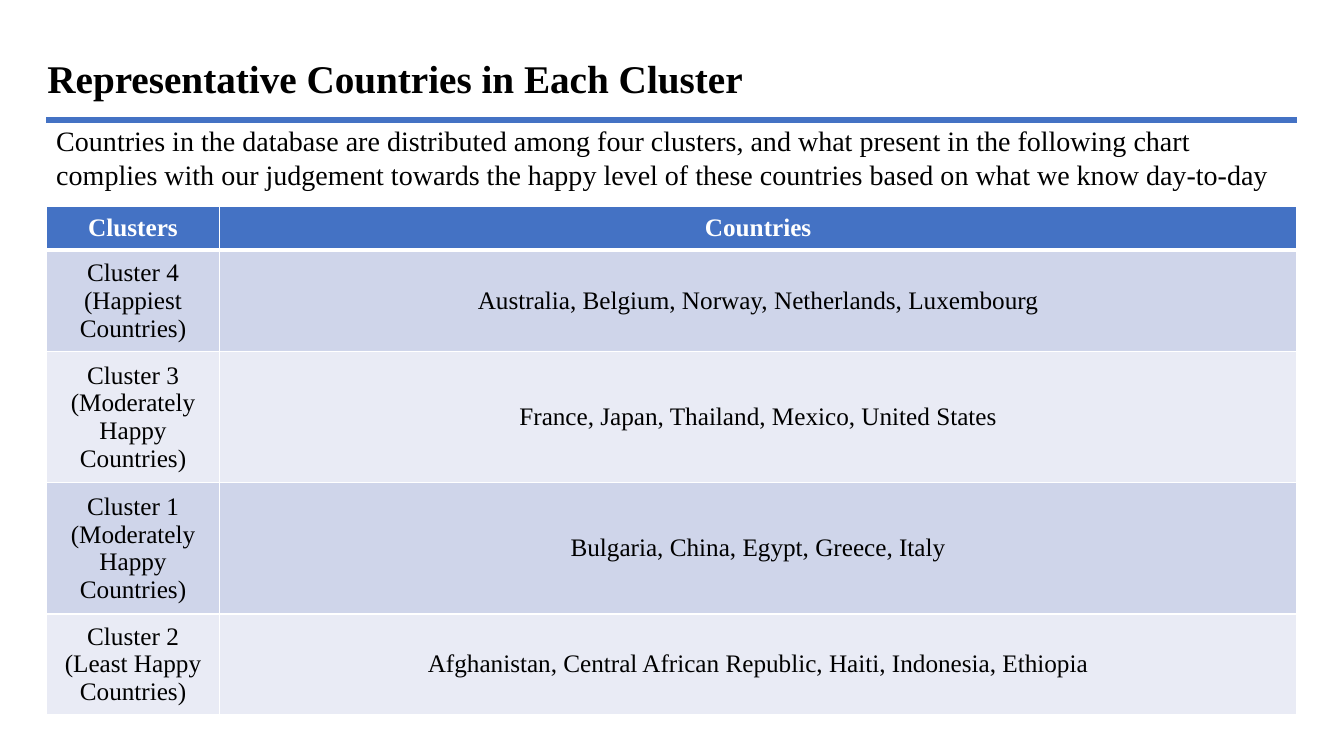
"""Build the slide that lists representative countries for each happiness cluster."""
from dataclasses import dataclass

from lxml import etree
from pptx import Presentation
from pptx.dml.color import RGBColor
from pptx.enum.shapes import MSO_CONNECTOR
from pptx.enum.text import MSO_ANCHOR, MSO_AUTO_SIZE, PP_ALIGN
from pptx.oxml.ns import qn
from pptx.util import Inches, Pt

STRAIGHT = MSO_CONNECTOR.STRAIGHT
TOP, MIDDLE = MSO_ANCHOR.TOP, MSO_ANCHOR.MIDDLE
LEFT, CENTER = PP_ALIGN.LEFT, PP_ALIGN.CENTER
NO_AUTOFIT = MSO_AUTO_SIZE.NONE


@dataclass(frozen=True)
class Theme:
    font: str = "Times New Roman"
    ink: str = "000000"
    paper: str = "FFFFFF"
    accent: str = "4472C4"
    bands: tuple = ("CFD5EA", "E9EBF5")
    title_size: int = 28
    intro_size: int = 20
    table_size: int = 18
    rule_width: float = 3.75
    border: int = 1
    header_border: int = 3


THEME = Theme()

TITLE = "Representative Countries in Each Cluster"
INTRO = (
    "Countries in the database are distributed among four clusters, and what present "
    "in the following chart complies with our judgement towards the happy level of "
    "these countries based on what we know day-to-day"
)
HEADER = ("Clusters", "Countries")
CLUSTERS = [
    ("Cluster 4\n(Happiest Countries)", "Australia, Belgium, Norway, Netherlands, Luxembourg"),
    ("Cluster 3\n(Moderately Happy Countries)", "France, Japan, Thailand, Mexico, United States"),
    ("Cluster 1\n(Moderately Happy Countries)", "Bulgaria, China, Egypt, Greece, Italy"),
    ("Cluster 2\n(Least Happy Countries)",
     "Afghanistan, Central African Republic, Haiti, Indonesia, Ethiopia"),
]

MARGIN, CONTENT_WIDTH = 0.46, 12.4
RULE_Y, TABLE_TOP = 1.19, 2.05
COLUMN_WIDTHS = (1.72, 10.68)
ROW_HEIGHTS = (0.43, 1.01, 1.3, 1.3, 1)


def set_text(frame, text, size, color, bold=False, align=LEFT):
    frame.text = text
    for paragraph in frame.paragraphs:
        paragraph.alignment = align
        for run in paragraph.runs:
            run.font.name = THEME.font
            run.font.size = Pt(size)
            run.font.bold = bold
            run.font.color.rgb = RGBColor.from_string(color)


def set_borders(cell, widths):
    properties = cell._tc.get_or_add_tcPr()
    for side, width in widths.items():
        line = etree.SubElement(properties, qn(f"a:ln{side}"), w=str(Pt(width)))
        fill = etree.SubElement(line, qn("a:solidFill"))
        etree.SubElement(fill, qn("a:srgbClr"), val=THEME.paper)


def add_heading(slide):
    title = slide.shapes.title
    title.left, title.top = Inches(0.37), Inches(0.49)
    title.width, title.height = Inches(9.86), Inches(0.57)
    title.text_frame.auto_size = NO_AUTOFIT
    title.text_frame.vertical_anchor = TOP
    set_text(title.text_frame, TITLE, THEME.title_size, THEME.ink, bold=True)

    rule = slide.shapes.add_connector(
        STRAIGHT, Inches(MARGIN), Inches(RULE_Y),
        Inches(MARGIN + CONTENT_WIDTH), Inches(RULE_Y))
    rule.line.color.rgb = RGBColor.from_string(THEME.accent)
    rule.line.width = Pt(THEME.rule_width)
    etree.SubElement(rule._element.spPr, qn("a:effectLst"))

    intro = slide.shapes.add_textbox(
        Inches(MARGIN), Inches(1.18), Inches(CONTENT_WIDTH), Inches(0.77))
    intro.text_frame.word_wrap = True
    set_text(intro.text_frame, INTRO, THEME.intro_size, THEME.ink)


def add_cluster_table(slide):
    rows = [HEADER, *CLUSTERS]
    table = slide.shapes.add_table(
        len(rows), len(HEADER), Inches(MARGIN), Inches(TABLE_TOP),
        Inches(CONTENT_WIDTH), Inches(sum(ROW_HEIGHTS))).table
    for column, width in zip(table.columns, COLUMN_WIDTHS):
        column.width = Inches(width)
    for r, (texts, height) in enumerate(zip(rows, ROW_HEIGHTS)):
        table.rows[r].height = Inches(height)
        is_header = r == 0
        background = THEME.accent if is_header else THEME.bands[(r - 1) % 2]
        widths = dict.fromkeys("LRTB", THEME.border)
        if is_header:
            widths["B"] = THEME.header_border
        elif r == 1:
            widths["T"] = THEME.header_border
        for c, text in enumerate(texts):
            cell = table.cell(r, c)
            set_borders(cell, widths)
            cell.fill.solid()
            cell.fill.fore_color.rgb = RGBColor.from_string(background)
            cell.vertical_anchor = MIDDLE
            set_text(cell.text_frame, text, THEME.table_size,
                     THEME.paper if is_header else THEME.ink, is_header, CENTER)


presentation = Presentation()
presentation.slide_width, presentation.slide_height = Inches(13.33), Inches(7.5)
cluster_slide = presentation.slides.add_slide(presentation.slide_layouts[5])
add_heading(cluster_slide)
add_cluster_table(cluster_slide)
presentation.save("out.pptx")
